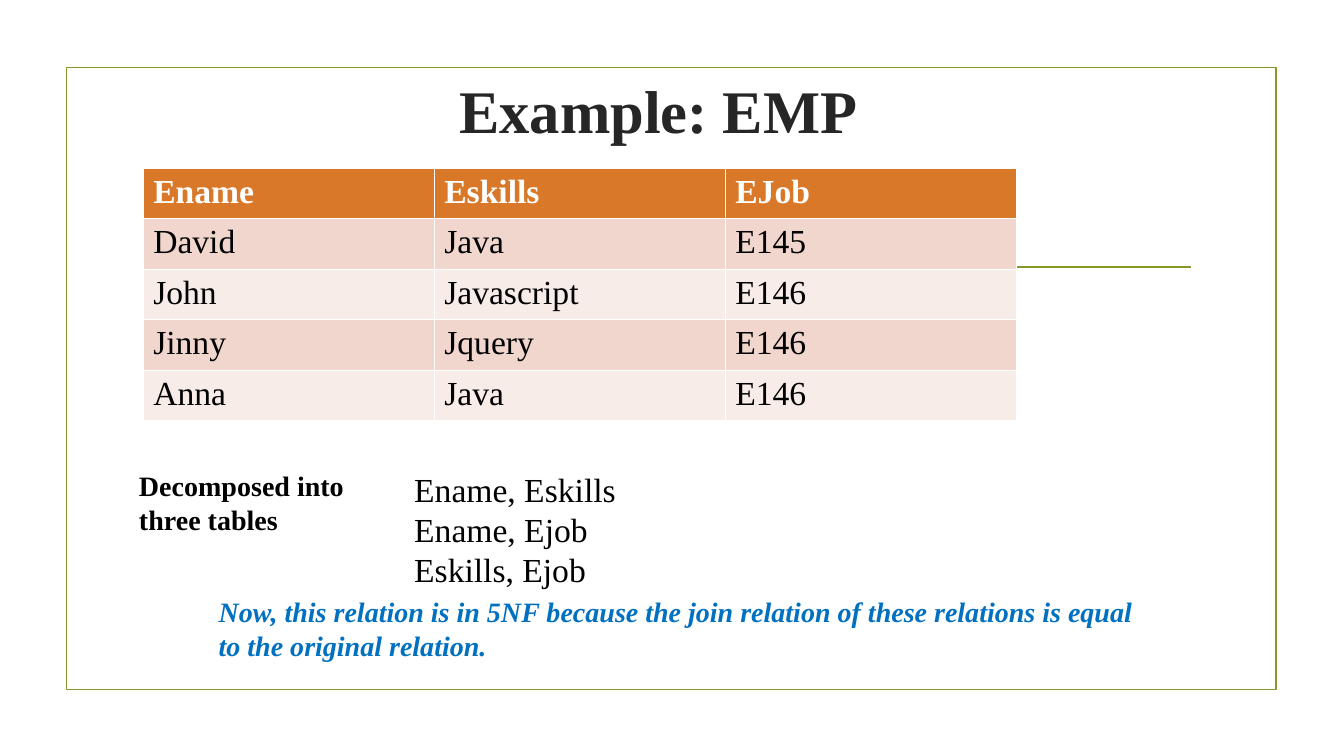
from lxml.etree import SubElement
from pptx import Presentation
from pptx.dml.color import RGBColor
from pptx.enum.shapes import MSO_CONNECTOR, MSO_SHAPE
from pptx.enum.text import MSO_ANCHOR, PP_ALIGN
from pptx.oxml.ns import qn
from pptx.util import Inches, Pt

FACE = "Times New Roman"
GREEN = "83992A"
ROWS = [
    ["Ename", "Eskills", "EJob"],
    ["David", "Java", "E145"],
    ["John", "Javascript", "E146"],
    ["Jinny", "Jquery", "E146"],
    ["Anna", "Java", "E146"],
]


def paint(target, color):
    target.solid()
    target.fore_color.rgb = RGBColor.from_string(color)


def style(para, size, color, bold=False, italic=False):
    font = para.font
    font.name = FACE
    font.size = Pt(size)
    font.bold = bold
    font.italic = italic
    paint(font.fill, color)


def add_frame(slide, *box):
    frame = slide.shapes.add_shape(MSO_SHAPE.RECTANGLE, *map(Inches, box))
    frame.shadow.inherit = False
    frame.fill.background()
    paint(frame.line.fill, GREEN)
    frame.line.width = Pt(1.25)


def add_rule(slide, left, right, top):
    rule = slide.shapes.add_connector(
        MSO_CONNECTOR.STRAIGHT, *map(Inches, (left, top, right, top)))
    paint(rule.line.fill, GREEN)
    rule.line.width = Pt(1.25)
    SubElement(rule._element.spPr, qn("a:effectLst"))


def add_text(slide, box, lines, size, color="000000", bold=False,
             italic=False, align=PP_ALIGN.LEFT, anchor=MSO_ANCHOR.TOP):
    frame = slide.shapes.add_textbox(*map(Inches, box)).text_frame
    frame.word_wrap = True
    frame.vertical_anchor = anchor
    frame.text = "\n".join(lines)
    for para in frame.paragraphs:
        para.alignment = align
        style(para, size, color, bold, italic)


def add_grid(slide, left, top, width, height):
    table = slide.shapes.add_table(
        len(ROWS), len(ROWS[0]),
        *map(Inches, (left, top, width, height))).table
    for r, row in enumerate(ROWS):
        head = r == 0
        fill = "D97828" if head else "F1D6CD" if r % 2 else "F8ECE8"
        for c, word in enumerate(row):
            cell = table.cell(r, c)
            cell.text = word
            paint(cell.fill, fill)
            style(cell.text_frame.paragraphs[0], 24,
                  "FFFFFF" if head else "000000", head)


def main():
    deck = Presentation()
    deck.slide_width = Inches(13.33)
    deck.slide_height = Inches(7.5)
    slide = deck.slides.add_slide(deck.slide_layouts[6])

    add_frame(slide, 0.66, 0.67, 12, 6.17)
    add_rule(slide, 1.53, 11.81, 2.65)
    add_text(slide, (1.28, 0.66, 10.5, 0.85), ["Example: EMP"], 43.2,
             "262626", bold=True, align=PP_ALIGN.CENTER,
             anchor=MSO_ANCHOR.MIDDLE)
    add_grid(slide, 1.42, 1.67, 8.66, 2.35)
    add_text(slide, (4.01, 4.6, 2.78, 1.31),
             ["Ename, Eskills", "Ename, Ejob", "Eskills, Ejob"], 24)
    add_text(slide, (1.28, 4.6, 2.48, 0.77),
             ["Decomposed into three tables"], 20, bold=True)
    add_text(slide, (2.07, 5.85, 9.51, 0.77),
             ["Now, this relation is in 5NF because the join relation of "
              "these relations is equal to the original relation."],
             20, "0070C0", bold=True, italic=True)
    deck.save("out.pptx")


if __name__ == "__main__":
    main()
